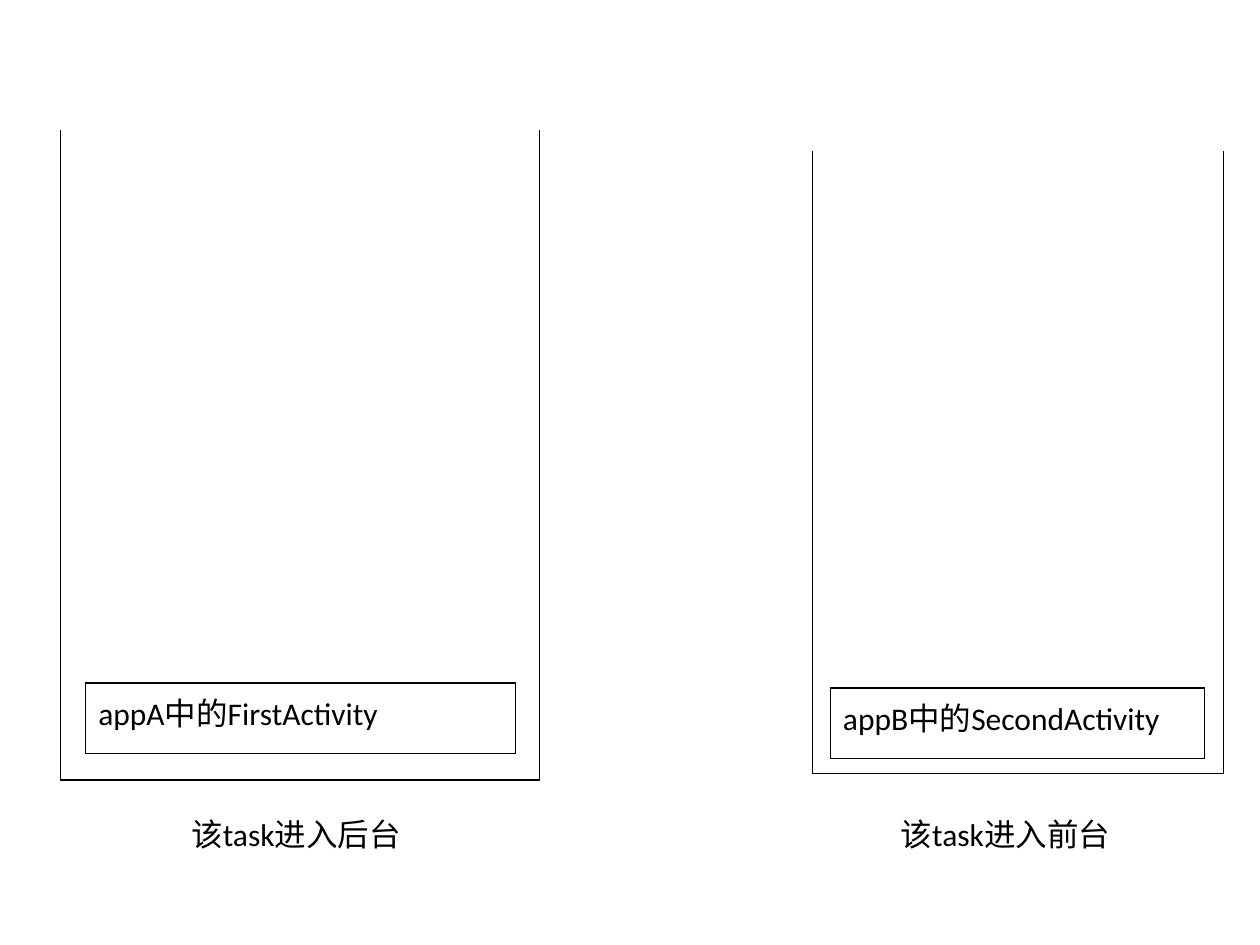
import pptx
import pptx.dml.color
import pptx.oxml
import pptx.oxml.ns
import pptx.util

BLACK = pptx.dml.color.RGBColor(0x00, 0x00, 0x00)
SLIDE_WIDTH = pptx.util.Inches(10)
SLIDE_HEIGHT = pptx.util.Inches(7.5)
CAPTION_TOP, CAPTION_WIDTH, CAPTION_HEIGHT = 6.42, 2.08, 0.4
ACTIVITY_HEIGHT = 0.56


def inches(*lengths):
    return [pptx.util.Inches(length) for length in lengths]


def style_text(text_frame, text):
    text_frame.text = text
    font = text_frame.paragraphs[0].runs[0].font
    font.name = "Calibri"
    font.size = pptx.util.Pt(18)
    font.bold = False
    font.color.rgb = BLACK


def style_cell(cell, sides):
    """Rule the named sides (L, R, T, B) in black and leave the rest open."""
    properties = cell._tc.get_or_add_tcPr()
    for side in "LRTB":
        paint = (f'<a:solidFill><a:srgbClr val="{BLACK}"/></a:solidFill>'
                 if side in sides else "<a:noFill/>")
        properties.append(pptx.oxml.parse_xml(
            f'<a:ln{side} {pptx.oxml.ns.nsdecls("a")} w="{pptx.util.Pt(1)}">'
            f"{paint}</a:ln{side}>"))
    cell.fill.background()


def add_ruled_table(slide, box, row_heights, row_sides):
    table = slide.shapes.add_table(len(row_heights), 1, *inches(*box)).table
    table.first_row = table.horz_banding = False
    for row, height, sides in zip(table.rows, row_heights, row_sides):
        row.height = pptx.util.Inches(height)
        style_cell(row.cells[0], sides)
    return table


def add_task(slide, box, row_heights, activity_box, activity, caption_left, caption):
    """Draw an open-topped task stack, its activity and its caption."""
    left, top, width = box
    add_ruled_table(slide, (left, top, width, sum(row_heights)),
                    row_heights, ("LR", "LRB"))

    # Activity at the bottom of the stack, placed relative to the stack
    inset, drop, activity_width = activity_box
    entry = add_ruled_table(
        slide, (left + inset, top + drop, activity_width, ACTIVITY_HEIGHT),
        [ACTIVITY_HEIGHT], ["LRTB"])
    style_text(entry.cell(0, 0).text_frame, activity)

    # Caption under the stack
    label = slide.shapes.add_textbox(*inches(
        left + caption_left, CAPTION_TOP, CAPTION_WIDTH, CAPTION_HEIGHT))
    label.text_frame.word_wrap = True
    style_text(label.text_frame, caption)


def main():
    presentation = pptx.Presentation()
    presentation.slide_width = SLIDE_WIDTH
    presentation.slide_height = SLIDE_HEIGHT
    slide = presentation.slides.add_slide(presentation.slide_layouts[6])

    # Background task
    add_task(slide, (0.48, 1.03, 3.8), (2.52, 2.64), (0.2, 4.39, 3.41),
             "appA中的FirstActivity", 0.94, "该task进入后台")
    # Foreground task
    add_task(slide, (6.45, 1.2, 3.26), (2.52, 2.42), (0.14, 4.26, 2.97),
             "appB中的SecondActivity", 0.6, "该task进入前台")

    presentation.save("out.pptx")


if __name__ == "__main__":
    main()
